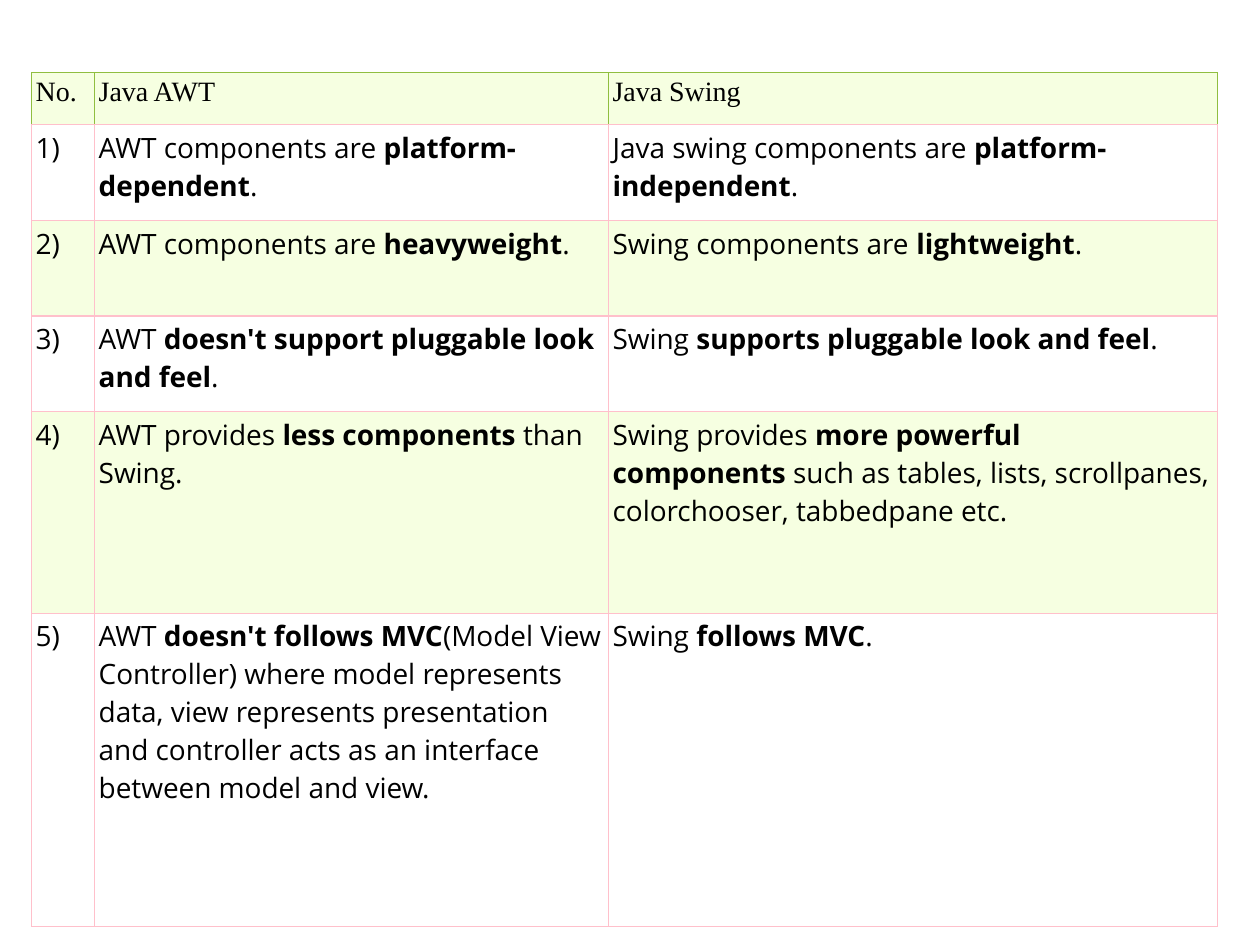
from dataclasses import dataclass

from lxml.etree import SubElement
from pptx import Presentation
from pptx.dml.color import RGBColor
from pptx.oxml.ns import qn
from pptx.util import Cm, Pt

HEADER = ("No.", "Java AWT", "Java Swing")
# Text between ** marks is bold.
COMPARISONS = [
    ("AWT components are\u00a0**platform-dependent**.",
     "Java swing components are\u00a0**platform-independent**."),
    ("AWT components are\u00a0**heavyweight**.",
     "Swing components are\u00a0**lightweight**."),
    ("AWT\u00a0**doesn't support pluggable look and feel**.",
     "Swing\u00a0**supports pluggable look and feel**."),
    ("AWT provides\u00a0**less components**\u00a0than Swing.",
     "Swing provides\u00a0**more powerful components**\u00a0such as tables, lists, "
     "scrollpanes, colorchooser, tabbedpane etc."),
    ("AWT\u00a0**doesn't follows MVC**(Model View Controller) where model represents "
     "data, view represents presentation and controller acts as an interface "
     "between model and view.",
     "Swing\u00a0**follows MVC**."),
]
COLUMN_WIDTHS = (1.27, 10.36, 12.27)
ROW_HEIGHTS = (1.04, 1.93, 1.93, 1.93, 4.06, 6.32)
TABLE_LEFT, TABLE_TOP = 0.64, 1.47


@dataclass(frozen=True)
class Theme:
    """Colours, fonts and sizes of the slide."""
    text: str = "000000"
    tinted: str = "F6FFE1"
    plain: str = "FFFFFF"
    header_border: str = "90BE40"
    body_border: str = "FFC0CB"
    border_width: float = 0.75
    header_font: str = "Times New Roman"
    body_font: str = "Open Sans"
    size: int = 16
    cell_margin: float = 0.08


THEME = Theme()


def set_borders(cell, is_header):
    """Draw the four edges of a cell."""
    properties = cell._tc.get_or_add_tcPr()
    for side in "LRTB":
        green = is_header and side != "B"
        line = SubElement(properties, qn(f"a:ln{side}"), w=str(Pt(THEME.border_width)))
        fill = SubElement(line, qn("a:solidFill"))
        SubElement(fill, qn("a:srgbClr"),
                   val=THEME.header_border if green else THEME.body_border)


def write_text(cell, text, font_name):
    """Fill a cell with runs, bold between ** marks."""
    paragraph = cell.text_frame.paragraphs[0]
    for index, part in enumerate(text.split("**")):
        run = paragraph.add_run()
        run.text = part
        run.font.name = font_name
        run.font.size = Pt(THEME.size)
        run.font.bold = index % 2 == 1
        run.font.color.rgb = RGBColor.from_string(THEME.text)


def format_cell(cell, text, row_index):
    """Style one cell according to its row."""
    is_header = row_index == 0
    margin = Cm(THEME.cell_margin)
    cell.margin_left = cell.margin_right = margin
    cell.margin_top = cell.margin_bottom = margin
    set_borders(cell, is_header)
    cell.fill.solid()
    cell.fill.fore_color.rgb = RGBColor.from_string(
        THEME.plain if row_index % 2 else THEME.tinted)
    write_text(cell, text, THEME.header_font if is_header else THEME.body_font)


def add_comparison_table(slide):
    """Add the table with its numbered rows."""
    rows = [HEADER] + [(f"{number})", *pair)
                       for number, pair in enumerate(COMPARISONS, start=1)]
    table = slide.shapes.add_table(
        len(rows), len(HEADER), Cm(TABLE_LEFT), Cm(TABLE_TOP),
        Cm(sum(COLUMN_WIDTHS)), Cm(sum(ROW_HEIGHTS))).table
    table.first_row = table.horz_banding = False
    for column, width in zip(table.columns, COLUMN_WIDTHS):
        column.width = Cm(width)
    for row_index, (texts, height) in enumerate(zip(rows, ROW_HEIGHTS)):
        table.rows[row_index].height = Cm(height)
        for column_index, text in enumerate(texts):
            format_cell(table.cell(row_index, column_index), text, row_index)


def main():
    """Build and save the slide."""
    presentation = Presentation()
    presentation.slide_width, presentation.slide_height = Cm(25.4), Cm(19.05)
    slide = presentation.slides.add_slide(presentation.slide_layouts[6])
    add_comparison_table(slide)
    presentation.save("out.pptx")


main()
